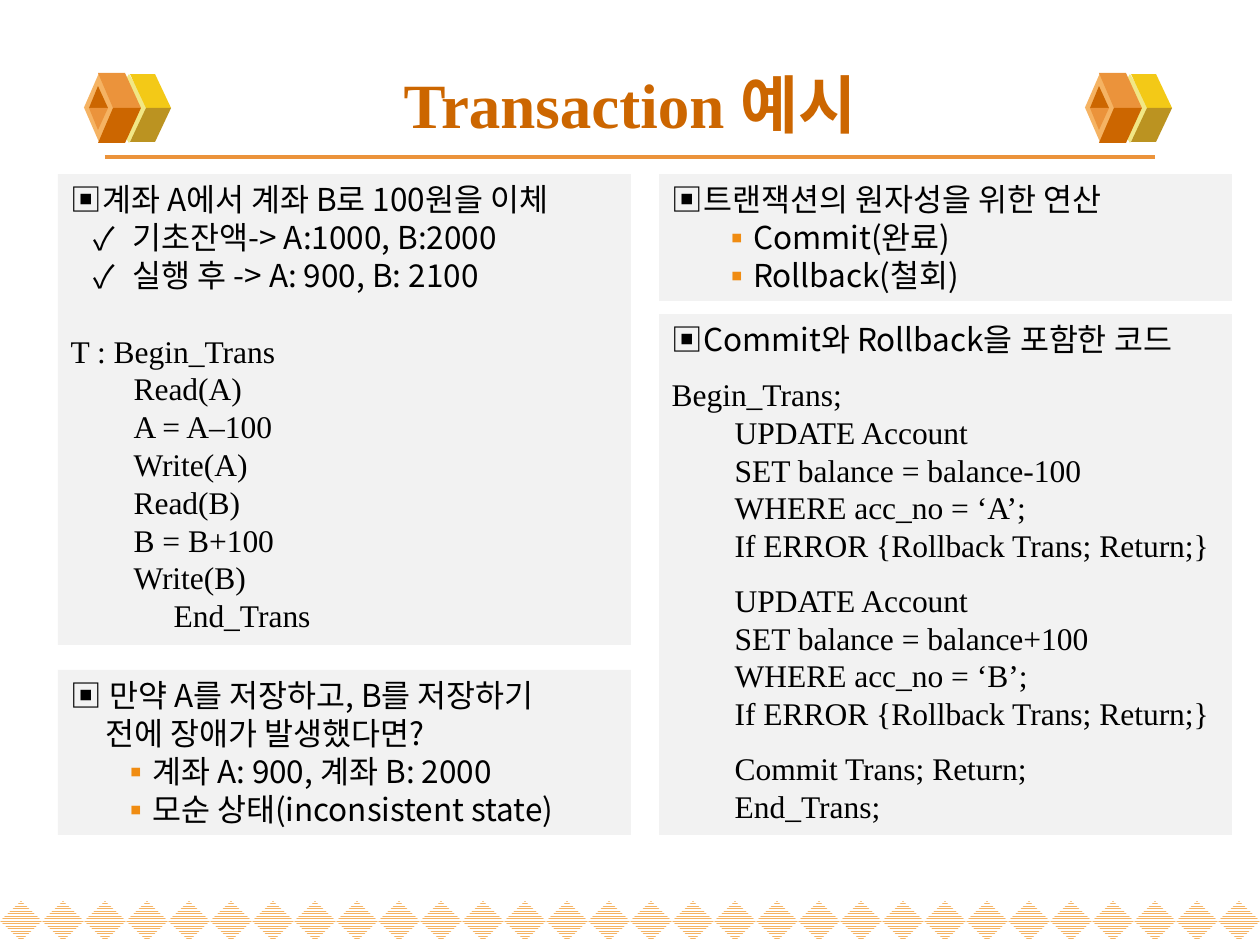
from dataclasses import dataclass

from lxml import etree
from pptx import Presentation
from pptx.dml.color import RGBColor
from pptx.enum.dml import MSO_PATTERN
from pptx.enum.shapes import MSO_CONNECTOR, MSO_SHAPE
from pptx.enum.text import MSO_ANCHOR, MSO_AUTO_SIZE, PP_ALIGN
from pptx.oxml.ns import qn
from pptx.util import Emu, Pt

PX = 914400 / 126


def px(n):
    return Emu(round(n * PX))


def rgb(value):
    return RGBColor.from_string(value)


@dataclass(frozen=True)
class Theme:
    sans: str = "Noto Sans CJK KR"
    serif: str = "Times New Roman"
    title_size: int = 36
    body_size: int = 18
    line_pitch: float = 21.6
    half_gap: float = 9.6
    text: str = "000000"
    white: str = "FFFFFF"
    panel: str = "F2F2F2"
    bullet: str = "F08C12"
    dark: str = "CC6600"
    orange: str = "EB933B"
    pale: str = "F5B363"
    cream: str = "F1E785"
    yellow: str = "F3C917"
    olive: str = "BB9321"


T = Theme()


@dataclass(frozen=True)
class Line:
    text: str
    font: str = T.sans
    indent: int = 0
    hang: int = 0
    mark: str = ""
    mark_color: str = T.text
    before: float = 0


def check(text):
    return Line(text, indent=62, hang=39, mark="✓")


def square(text):
    return Line(text, indent=75, hang=25, mark="▪", mark_color=T.bullet)


def code(text, indent=63, before=0):
    return Line(text, T.serif, indent, before=before)


class SlideBuilder:
    def __init__(self, slide, theme):
        self.s, self.t = slide, theme

    def place(self, sp, x, y, w, h):
        sp.left, sp.top, sp.width, sp.height = px(x), px(y), px(w), px(h)

    def run(self, p, text, font, size, color, bold=False):
        r = p.add_run()
        r.text = text
        r.font.name, r.font.size, r.font.bold = font, Pt(size), bold
        r.font.color.rgb = rgb(color)
        etree.SubElement(r.font._element, qn("a:ea"), typeface=self.t.sans)

    def title(self, text, *box):
        sp = self.s.shapes.title
        self.place(sp, *box)
        tf = sp.text_frame
        tf.auto_size, tf.vertical_anchor = MSO_AUTO_SIZE.NONE, MSO_ANCHOR.MIDDLE
        p = tf.paragraphs[0]
        p.alignment = PP_ALIGN.CENTER
        self.run(p, text, self.t.serif, self.t.title_size, self.t.dark, True)

    def bullet(self, p, line):
        pPr = p._p.get_or_add_pPr()
        pPr.set("marL", str(px(line.indent)))
        pPr.set("indent", str(px(-line.hang)))
        if line.mark:
            clr = etree.SubElement(pPr, qn("a:buClr"))
            etree.SubElement(clr, qn("a:srgbClr"), val=line.mark_color)
            etree.SubElement(pPr, qn("a:buFont"), typeface=self.t.sans)
            etree.SubElement(pPr, qn("a:buChar"), char=line.mark)
        else:
            etree.SubElement(pPr, qn("a:buNone"))

    def panel(self, idx, box, lines):
        sp = self.s.placeholders[idx]
        self.place(sp, *box)
        sp.fill.solid()
        sp.fill.fore_color.rgb = rgb(self.t.panel)
        tf = sp.text_frame
        tf.word_wrap = True
        tf.auto_size, tf.vertical_anchor = MSO_AUTO_SIZE.NONE, MSO_ANCHOR.TOP
        for i, line in enumerate(lines):
            p = tf.add_paragraph() if i else tf.paragraphs[0]
            p.level = 1 if line.indent else 0
            self.bullet(p, line)
            p.alignment = PP_ALIGN.LEFT
            p.line_spacing = Pt(self.t.line_pitch)
            p.space_before, p.space_after = Pt(line.before), Pt(0)
            self.run(p, line.text, line.font, self.t.body_size, self.t.text)

    def plain(self, sp, color):
        sp.shadow.inherit = False
        sp.line.fill.background()
        sp.fill.solid()
        sp.fill.fore_color.rgb = rgb(color)

    def diamond(self, x, y, w, h, color, striped=False):
        sp = self.s.shapes.add_shape(MSO_SHAPE.DIAMOND, px(x), px(y), px(w), px(h))
        self.plain(sp, color)
        if striped:
            sp.fill.patterned()
            sp.fill.pattern = MSO_PATTERN.NARROW_HORIZONTAL
            sp.fill.fore_color.rgb = rgb(color)
            sp.fill.back_color.rgb = rgb(self.t.white)

    def polygon(self, points, color):
        fb = self.s.shapes.build_freeform(*points[0], scale=PX)
        fb.add_line_segments(points[1:], close=True)
        self.plain(fb.convert_to_shape(), color)

    def rule(self, x1, x2, y, color, width):
        c = self.s.shapes.add_connector(MSO_CONNECTOR.STRAIGHT, px(x1), px(y), px(x2), px(y))
        c.line.color.rgb, c.line.width = rgb(color), Pt(width)
        etree.SubElement(c._element.spPr, qn("a:effectLst"))

    def mirrored(self, x, mid, base, tip, rise, upper, lower):
        """Draw a face above the middle line and its reflection below."""
        for sign, color in ((-1, upper), (1, lower)):
            points = [(x + dx, mid) for dx in base]
            points += [(x + dx, mid + sign * rise) for dx in tip]
            self.polygon(points, color)

    def emblem(self, x, mid):
        t = self.t
        self.diamond(x + 24, mid - 34, 42, 69, t.cream)
        self.mirrored(x, mid, (62, 87), (71, 46), 34, t.yellow, t.olive)
        self.diamond(x, mid - 35, 30, 69, t.pale)
        self.mirrored(x, mid, (29, 57), (41, 14), 35, t.orange, t.dark)
        self.mirrored(x, mid, (5, 24), (14,), 22, t.dark, t.orange)


def update_block(sign, account):
    return [
        code("UPDATE Account", before=T.half_gap if account == "B" else 0),
        code(f"SET balance = balance{sign}100"),
        code(f"WHERE acc_no = ‘{account}’;"),
        code("If ERROR {Rollback Trans; Return;}"),
    ]


TRANSFER = [
    Line("▣계좌 A에서 계좌 B로 100원을 이체"),
    check("기초잔액-> A:1000, B:2000"),
    check("실행 후 -> A: 900, B: 2100"),
    code("T : Begin_Trans", indent=0, before=T.line_pitch),
    *map(code, ("Read(A)", "A = A–100", "Write(A)", "Read(B)", "B = B+100", "Write(B)")),
    code("End_Trans", indent=103),
]
FAILURE = [
    Line("▣ 만약 A를 저장하고, B를 저장하기"),
    Line("전에 장애가 발생했다면?", indent=35),
    square("계좌 A: 900, 계좌 B: 2000"),
    square("모순 상태(inconsistent state)"),
]
OPERATIONS = [
    Line("▣트랜잭션의 원자성을 위한 연산"),
    square("Commit(완료)"),
    square("Rollback(철회)"),
]
FULL_CODE = [
    Line("▣Commit와 Rollback을 포함한 코드"),
    code("Begin_Trans;", indent=0, before=T.half_gap),
    *update_block("-", "A"),
    *update_block("+", "B"),
    code("Commit Trans; Return;", before=T.half_gap),
    code("End_Trans;"),
]


def main():
    prs = Presentation()
    prs.slide_width, prs.slide_height = px(1260), px(945)
    b = SlideBuilder(prs.slides.add_slide(prs.slide_layouts[4]), T)

    for i in range(30):
        b.diamond(42 * i, 901, 42, 40, T.pale, striped=True)
    b.rule(105, 1155, 157, T.orange, 2.25)
    for x in (84, 1085):
        b.emblem(x, 108)

    b.title("Transaction 예시", 63, 50, 1134, 107)
    left, right, width = 58, 659, 573
    b.panel(1, (left, 174, width, 471), TRANSFER)
    b.panel(2, (left, 670, width, 165), FAILURE)
    b.panel(3, (right, 174, width, 127), OPERATIONS)
    b.panel(4, (right, 314, width, 521), FULL_CODE)
    prs.save("out.pptx")


if __name__ == "__main__":
    main()
